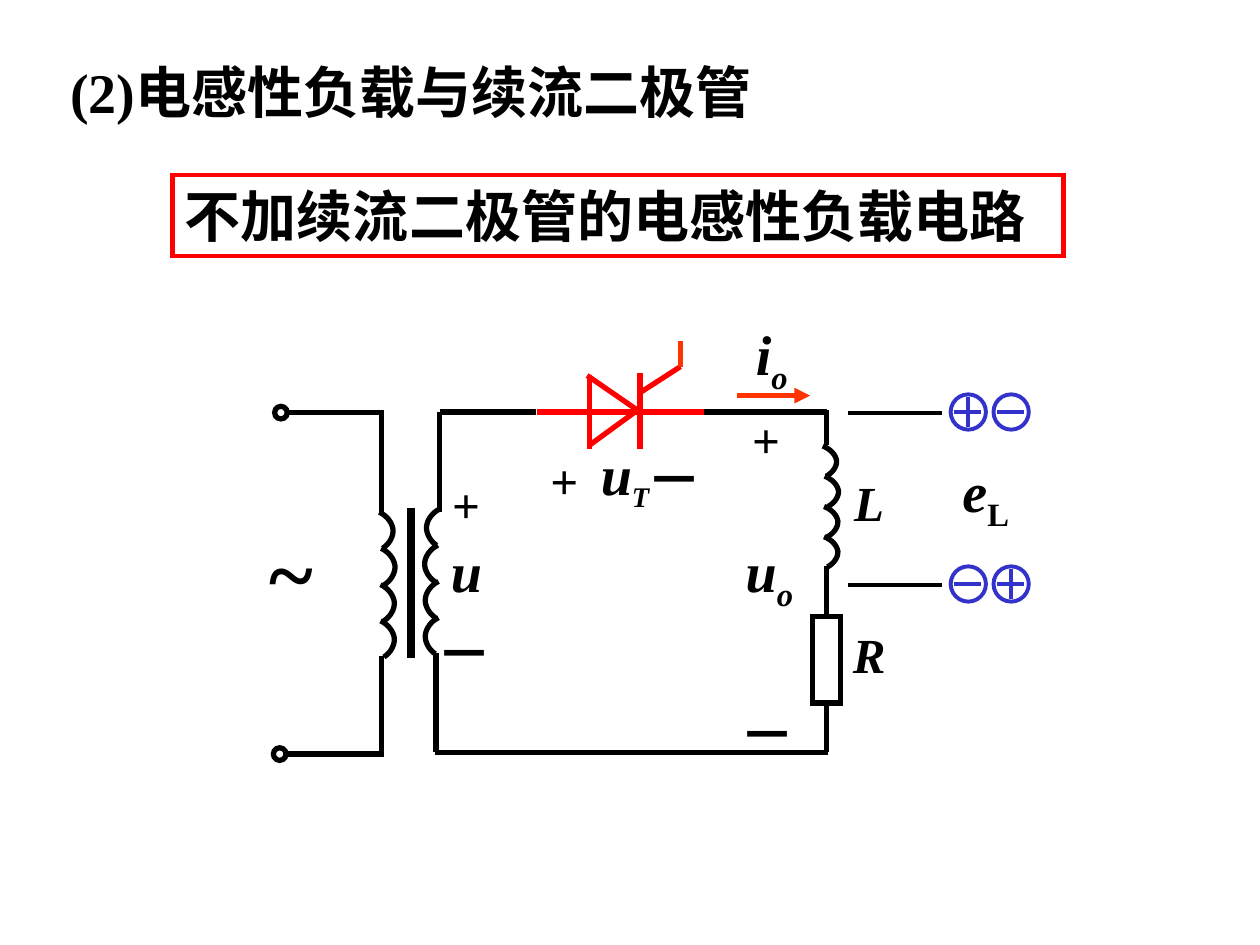
from collections import namedtuple

from lxml import etree
from pptx import Presentation
from pptx.dml.color import RGBColor
from pptx.enum.shapes import MSO_CONNECTOR, MSO_SHAPE
from pptx.enum.text import MSO_ANCHOR, MSO_AUTO_SIZE, PP_ALIGN
from pptx.oxml.ns import qn
from pptx.util import Inches, Pt

STRAIGHT = MSO_CONNECTOR.STRAIGHT
RECT, OVAL = MSO_SHAPE.RECTANGLE, MSO_SHAPE.OVAL
FIT, TOP, LEFT = MSO_AUTO_SIZE.SHAPE_TO_FIT_TEXT, MSO_ANCHOR.TOP, PP_ALIGN.LEFT

# The slide is a grid of 100 columns by 75 rows; a box is given in grid units.
COLS, ROWS = 100, 75
CELL = Inches(10) // COLS
FONT = "Times New Roman"
COLORS = {"ink": "000000", "paper": "FFFFFF", "red": "FF0000",
          "orange": "FF3300", "blue": "3333CC"}

Box = namedtuple("Box", "x y w h")
Run = namedtuple("Run", "text size italic sub", defaults=(32, False, False))

# One coil turn as two joined Bezier curves, in shares of its width and height.
TURN = [(0, 0), (0.57, 0.1), (0.95, 0.3), (1, 0.49),
        (1.03, 0.67), (0.73, 0.88), (0.25, 1)]


def emu(n):
    return round(n * CELL)


def color(name):
    return RGBColor.from_string(COLORS[name])


def inside(box, x, y, w, h):
    return Box(box.x + x, box.y + y, w, h)


def place(box):
    return [emu(n) for n in box]


def add_to_line(sp, tag, **attrs):
    etree.SubElement(sp._element.spPr.find(qn("a:ln")), qn(tag), **attrs)


def outline(sp, line, width, fill=None):
    sp.shadow.inherit = False
    sp.line.color.rgb = color(line)
    sp.line.width = Pt(width)
    add_to_line(sp, "a:miter", lim="800000")
    if fill:
        sp.fill.solid()
        sp.fill.fore_color.rgb = color(fill)
    else:
        sp.fill.background()


def add_line(s, box, x1, y1, x2, y2, line="ink", width=3, arrow=False):
    ends = [emu(n) for n in (box.x + x1, box.y + y1, box.x + x2, box.y + y2)]
    c = s.shapes.add_connector(STRAIGHT, *ends)
    c.line.color.rgb = color(line)
    c.line.width = Pt(width)
    if arrow:
        add_to_line(c, "a:tailEnd", type="triangle")
    etree.SubElement(c._element.spPr, qn("a:effectLst"))


def add_shape(s, kind, box, line="ink", width=3, fill=None):
    sp = s.shapes.add_shape(kind, *place(box))
    outline(sp, line, width, fill)
    return sp


def write(sp, runs, wrap=False):
    tf = sp.text_frame
    tf.word_wrap, tf.auto_size, tf.vertical_anchor = wrap, FIT, TOP
    p = tf.paragraphs[0]
    p.alignment = LEFT
    for run in runs:
        r = p.add_run()
        r.text = run.text
        f = r.font
        f.name, f.size, f.bold, f.italic = FONT, Pt(run.size), True, run.italic
        f.color.rgb = color("ink")
        if run.sub:
            r._r.get_or_add_rPr().set("baseline", "-25000")


def add_text(s, box, *runs, wrap=False):
    write(s.shapes.add_textbox(*place(box)), runs, wrap)


def plus(s, box, x, y):
    add_text(s, inside(box, x, y, 4.2, 5.7), Run("+", 28))


def minus(s, box, x, y):
    add_text(s, inside(box, x, y, 6.4, 6.4), Run("－"))


def bezier(a, b, c, d, t):
    u = 1 - t
    return [u**3 * i + 3 * u * u * t * j + 3 * u * t * t * k + t**3 * m
            for i, j, k, m in zip(a, b, c, d)]


def add_coil(s, box, side=1):
    """Four touching turns that fill the box; side -1 bulges to the left."""
    turn_h = box.h / 4
    curve = [bezier(*TURN[k:k + 4], i / 8) for k in (0, 3) for i in range(9)]
    for n, shift in enumerate((0, 0.15, 0.1, 0.1)):
        x = box.x + side * shift
        y = box.y + n * turn_h
        pts = [(emu(x + side * box.w * i), emu(y + turn_h * j)) for i, j in curve]
        fb = s.shapes.build_freeform(*pts[0])
        fb.add_line_segments(pts[1:], close=False)
        outline(fb.convert_to_shape(), "ink", 3)


def headings(s, box):
    add_text(s, inside(box, 0, 0, 67.4, 6.4),
             Run("(2)电感性负载与续流二极管"), wrap=True)
    frame = add_shape(s, RECT, inside(box, 9.1, 9.8, 70.7, 6.4), "red", 2.5)
    write(frame, [Run("不加续流二极管的电感性负载电路")], wrap=True)


def supply(s, box):
    """Source terminals and the primary winding."""
    right = 8.6
    for y, wire_x in ((0, 1.2), (box.h, 1.1)):
        add_shape(s, OVAL, inside(box, wire_x - 1.1, y - 0.5, 1, 1))
        add_line(s, box, wire_x, y, right + 0.2, y)
    add_line(s, box, right, 0, right, 7.9)
    add_line(s, box, right, 19.3, right, box.h)
    add_coil(s, inside(box, 8.4, 7.9, 1.1, 11.5))
    add_text(s, inside(box, -1.3, 8.1, 5.4, 9), Run("~", 48))


def secondary(s, box):
    """Iron core, secondary winding and the wires of the loop."""
    add_line(s, box, 0, 7.6, 0, 19.5, width=4.5)
    add_coil(s, inside(box, 2.3, 7.7, 1.05, 11.5), side=-1)
    add_line(s, box, 2.3, 0, 2.3, 7.9)
    add_line(s, box, 2, 19.1, 2, box.h)
    add_line(s, box, 2.3, 0, 9.9, 0)
    add_line(s, box, 23, 0, box.w, 0)
    add_line(s, box, 1.9, box.h, box.w + 0.1, box.h)
    plus(s, box, 2.3, 4.5)
    add_text(s, inside(box, 2.2, 9.4, 4.5, 6.4), Run("u", italic=True))
    minus(s, box, 1.1, 15.9)


def thyristor(s, box):
    axis = 5.6
    for ends in ((0, axis, 13.3, axis), (4.2, 2.7, 4.2, 8.5), (4, 2.7, 8.2, axis),
                 (4.1, 8.3, 7.8, axis), (8.2, 2.5, 8.2, 8.5), (8.3, 4, 11.4, 2)):
        add_line(s, box, *ends, line="red")
    add_line(s, box, 11.4, 2, 11.4, 0, "orange")
    plus(s, box, 0.1, 8.2)
    add_text(s, inside(box, 4.1, 7.3, 7, 6.9),
             Run("u", italic=True), Run("T", 28, True, True), wrap=True)
    minus(s, box, 7.7, 7.7)


def load(s, box):
    """Output current, inductor and resistor; the branch is at column 7.9."""
    x = 7.9
    add_line(s, box, 0.8, 6.5, 6.6, 6.5, "orange", arrow=True)
    add_text(s, inside(box, 1.3, 0, 4.5, 7.1),
             Run("i", italic=True), Run("o", italic=True, sub=True))
    for top, bottom in ((7.6, 10.4), (20, 24), (30.8, 34.8)):
        add_line(s, box, x, top, x, bottom)
    add_coil(s, inside(box, 7.6, 10.5, 1.1, 9.6))
    add_shape(s, RECT, inside(box, 6.8, 24, 2.2, 6.9), fill="paper")
    add_text(s, inside(box, 9.1, 12.1, 4.4, 5.7), Run("L", 28, True))
    add_text(s, inside(box, 9, 24.2, 4.6, 5.7), Run("R", 28, True))
    plus(s, box, 1, 7.1)
    add_text(s, inside(box, 0.5, 17.2, 7.1, 7.1),
             Run("u", italic=True), Run("o", italic=True, sub=True), wrap=True)
    minus(s, box, 0, 30.1)


def induced_voltage(s, box):
    """Leads across the inductor, each with its pair of polarity signs."""
    size, mid = 2.8, 1.4
    for y, signs in ((0, "+-"), (box.h, "-+")):
        add_line(s, box, 0, y, 7.5, y, width=2.25)
        for n, sign in enumerate(signs):
            disc = inside(box, 8.15 + 3.4 * n, y - 1.45, size, size)
            add_shape(s, OVAL, disc, "blue", 2.25)
            add_line(s, disc, 0.3, mid, 2.4, mid, "blue", 2.25)
            if sign == "+":
                add_line(s, disc, mid, 0.2, mid, 2.6, "blue", 2.25)
    add_text(s, inside(box, 8.1, 3, 6.3, 7.1),
             Run("e", italic=True), Run("L", sub=True), wrap=True)


def main():
    prs = Presentation()
    prs.slide_width, prs.slide_height = emu(COLS), emu(ROWS)
    s = prs.slides.add_slide(prs.slide_layouts[6])
    supply(s, Box(21.7, 32.75, 10.8, 27.1))
    secondary(s, Box(32.6, 32.7, 33, 27))
    thyristor(s, Box(42.6, 27.1, 13.3, 14.2))
    load(s, Box(57.7, 24.9, 13.6, 36.5))
    induced_voltage(s, Box(67.3, 32.75, 14.4, 13.65))
    headings(s, Box(4.6, 4.1, 79.8, 16.2))
    prs.save("out.pptx")


if __name__ == "__main__":
    main()
